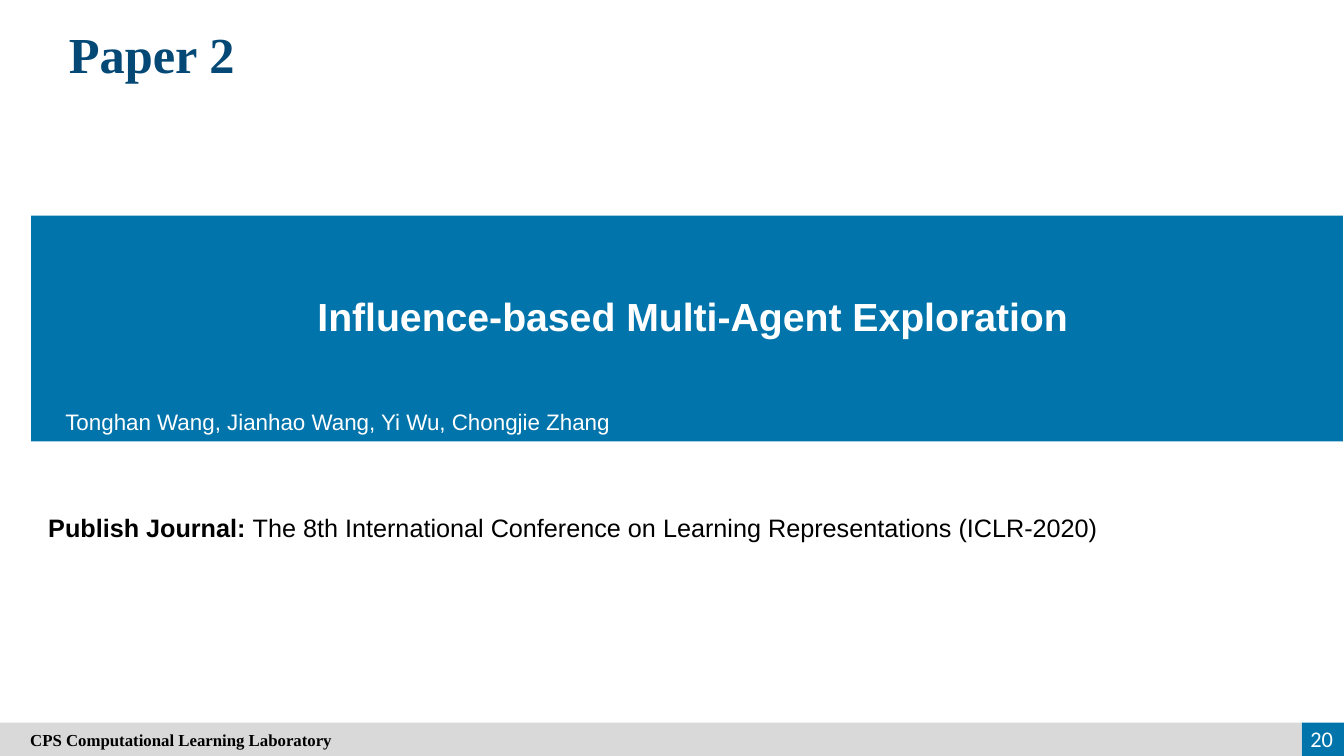
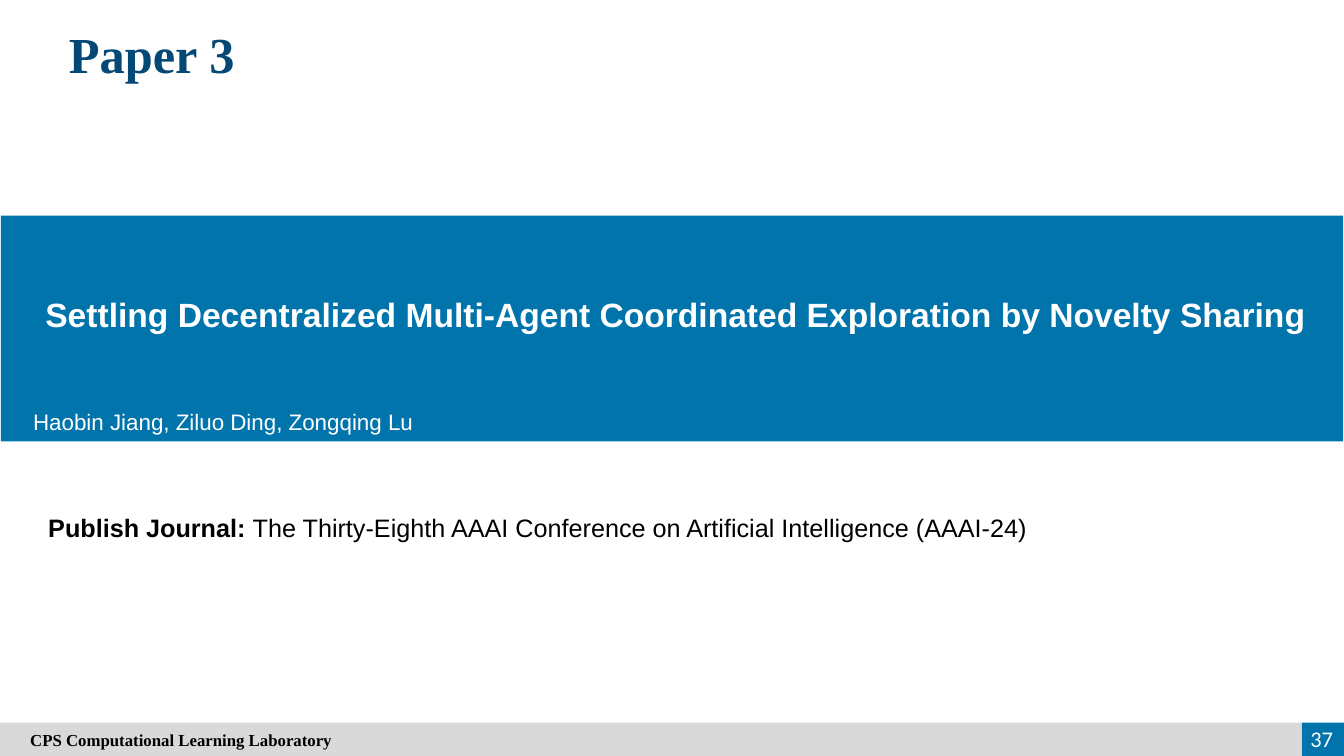
from pptx import Presentation
from pptx.dml.color import RGBColor
from pptx.enum.shapes import MSO_SHAPE as Shape
from pptx.enum.text import MSO_ANCHOR as Anchor, MSO_AUTO_SIZE as Fit, PP_ALIGN as Align
from pptx.util import Inches, Pt

BLUE, NAVY, GRAY, WHITE, BLACK = "0174AB", "044875", "D9D9D9", "FFFFFF", "000000"

# Text styles: size, font, colour, bold
STYLES = {
    "title": dict(size=Pt(36), name="Times New Roman", color=NAVY, bold=True),
    "author": dict(size=Pt(16), name="Arial", color=WHITE, bold=False),
    "label": dict(size=Pt(18), name="Arial", color=BLACK, bold=True),
    "venue": dict(size=Pt(18), name="Arial", color=BLACK, bold=False),
    "lab": dict(size=Pt(12), name="Times New Roman", color=BLACK, bold=True),
    "page": dict(size=Pt(16), name="Calibri", color=WHITE, bold=False),
    "topic": dict(name="Arial", color=WHITE, bold=True),
}

PAPERS = [
    dict(title="Paper 2", topic="Influence-based Multi-Agent Exploration", size=28,
         authors="Tonghan Wang, Jianhao Wang, Yi Wu, Chongjie Zhang",
         venue="The 8th International Conference on Learning Representations (ICLR-2020)",
         page="20", band=0.31, mid=6.87, top=2.61, high=0.81, left=0.55),
    dict(title="Paper 3", size=24,
         topic="Settling Decentralized Multi-Agent Coordinated Exploration by Novelty Sharing",
         authors="Haobin Jiang, Ziluo Ding, Zongqing Lu",
         venue="The Thirty-Eighth AAAI Conference on Artificial Intelligence (AAAI-24)",
         page="37", band=0.01, mid=6.7, top=2.66, high=0.71, left=0.23),
]


def write(shape, runs, align=Align.LEFT, anchor=Anchor.TOP, size=None):
    """Fill the shape's first paragraph with (text, style name) runs."""
    frame = shape.text_frame
    frame.auto_size, frame.word_wrap = Fit.NONE, True
    frame.vertical_anchor = anchor
    para = frame.paragraphs[0]
    para.alignment = align
    for text, style in runs:
        run = para.add_run()
        run.text = text
        for key, value in STYLES[style].items():
            if key == "color":
                run.font.color.rgb = RGBColor.from_string(value)
            else:
                setattr(run.font, key, value)
        if size:
            run.font.size = Pt(size)
    return para


def block(slide, box, color):
    """Add a plain filled rectangle without outline."""
    shape = slide.shapes.add_shape(Shape.RECTANGLE, *map(Inches, box))
    shape.shadow.inherit = False
    shape.fill.solid()
    shape.fill.fore_color.rgb = RGBColor.from_string(color)
    shape.line.fill.background()
    return shape


deck = Presentation()
deck.slide_width, deck.slide_height = Inches(13.33), Inches(7.5)

for paper in PAPERS:
    slide = deck.slides.add_slide(deck.slide_layouts[5])
    add_box = slide.shapes.add_textbox

    # Title
    title = slide.shapes.title
    title.left, title.top = Inches(0.38), Inches(0.18)
    title.width, title.height = Inches(2.25), Inches(0.71)
    write(title, [(paper["title"], "title")], Align.CENTER)

    # Band with topic and authors
    block(slide, (paper["band"], 2.14, 13.32 - paper["band"], 2.24), BLUE)
    wide = 12.86
    topic = add_box(Inches(paper["mid"] - wide / 2), Inches(paper["top"]),
                    Inches(wide), Inches(paper["high"]))
    para = write(topic, [(paper["topic"], "topic")], Align.CENTER, Anchor.MIDDLE,
                 paper["size"])
    para.line_spacing = 1.5
    authors = add_box(Inches(paper["left"]), Inches(4), Inches(12.5), Inches(0.37))
    write(authors, [(paper["authors"], "author")])

    # Venue
    venue = add_box(Inches(0.38), Inches(5.03), Inches(11.32), Inches(0.4))
    write(venue, [("Publish Journal: ", "label"), (paper["venue"], "venue")])

    # Footer
    block(slide, (12.91, 7.17, 0.42, 0.33), BLUE)
    lab = block(slide, (0, 7.17, 12.91, 0.33), GRAY)
    write(lab, [("CPS Computational Learning Laboratory", "lab")], anchor=Anchor.MIDDLE)
    lab.text_frame.margin_left = Inches(0.3)
    page = add_box(Inches(12.69), Inches(7.13), Inches(0.63), Inches(0.4))
    write(page, [(paper["page"], "page")], Align.RIGHT, Anchor.MIDDLE)

deck.save("out.pptx")
